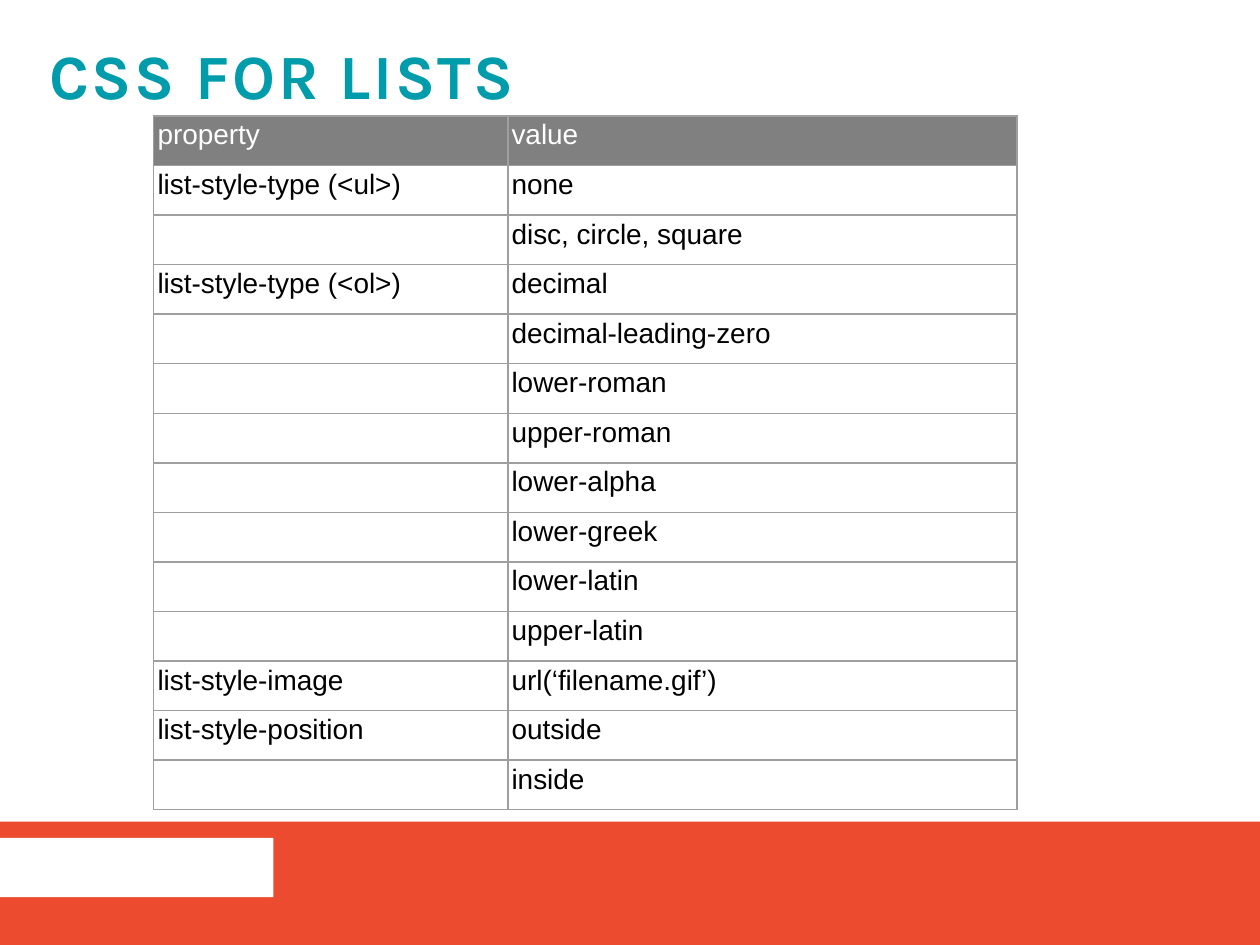
from pptx import Presentation
from pptx.dml.color import RGBColor
from pptx.enum import shapes, text
from pptx.oxml import parse_xml
from pptx.oxml.ns import nsdecls
from pptx.util import Inches, Pt

TITLE = "CSS FOR LISTS"
HEADER = ("property", "value")
PROPERTIES = [
    ("list-style-type (<ul>)", ["none", "disc, circle, square"]),
    ("list-style-type (<ol>)", ["decimal", "decimal-leading-zero", "lower-roman",
                                "upper-roman", "lower-alpha", "lower-greek",
                                "lower-latin", "upper-latin"]),
    ("list-style-image", ["url(‘filename.gif’)"]),
    ("list-style-position", ["outside", "inside"]),
]

TEAL = RGBColor(0x00, 0x9C, 0xAB)
ORANGE = RGBColor(0xEC, 0x4B, 0x2F)
GRAY = RGBColor(0x80, 0x80, 0x80)
BORDER = RGBColor(0x9F, 0x9F, 0x9F)
WHITE = RGBColor(0xFF, 0xFF, 0xFF)
BLACK = RGBColor(0x00, 0x00, 0x00)

COLUMN_WIDTHS = (2.81, 4.04)
ROW_HEIGHT = 5.51 / 14
CELL_MARGIN = 0.03


def add_band(slide, left, top, width, height, color):
    band = slide.shapes.add_shape(shapes.MSO_SHAPE.RECTANGLE, Inches(left),
                                  Inches(top), Inches(width), Inches(height))
    band.shadow.inherit = False
    band.fill.solid()
    band.fill.fore_color.rgb = color
    band.line.fill.background()


def add_run(paragraph, words, font, size, color, bold=False):
    run = paragraph.add_run()
    run.text = words
    run.font.name, run.font.size, run.font.bold = font, Pt(size), bold
    run.font.color.rgb = color
    return run


def add_title(slide):
    title = slide.shapes.add_textbox(0, 0, Inches(10), Inches(1.25))
    frame = title.text_frame
    frame.word_wrap = True
    frame.vertical_anchor = text.MSO_ANCHOR.MIDDLE
    frame.margin_left = frame.margin_right = Inches(0.39)
    frame.margin_top, frame.margin_bottom = Inches(0.2), Inches(0.16)
    frame.paragraphs[0].line_spacing = 0.8
    run = add_run(frame.paragraphs[0], TITLE, "Karla", 36, TEAL, bold=True)
    run.font._element.set("spc", "150")  # letter spacing, 1.5 pt


def style_cell(cell, fill):
    cell.margin_left = cell.margin_right = Inches(CELL_MARGIN)
    cell.margin_top = cell.margin_bottom = Inches(CELL_MARGIN)
    properties = cell._tc.get_or_add_tcPr()
    for side in ("lnL", "lnR", "lnT", "lnB"):
        properties.append(parse_xml(
            f'<a:{side} {nsdecls("a")} w="{Pt(1)}"><a:solidFill>'
            f'<a:srgbClr val="{BORDER}"/></a:solidFill></a:{side}>'))
    cell.fill.solid()
    cell.fill.fore_color.rgb = fill


def add_property_table(slide):
    # A property is named only beside its first value
    rows = [HEADER] + [(name if i == 0 else "", value)
                       for name, values in PROPERTIES
                       for i, value in enumerate(values)]
    table = slide.shapes.add_table(
        len(rows), len(HEADER), Inches(1.22), Inches(0.92),
        Inches(sum(COLUMN_WIDTHS)), Inches(ROW_HEIGHT * len(rows))).table
    for column, width in zip(table.columns, COLUMN_WIDTHS):
        column.width = Inches(width)
    for r, row in enumerate(rows):
        fill, color = (GRAY, WHITE) if r == 0 else (WHITE, BLACK)
        for c, words in enumerate(row):
            cell = table.cell(r, c)
            style_cell(cell, fill)
            if words:
                add_run(cell.text_frame.paragraphs[0], words, "Arial", 16, color)


def main():
    deck = Presentation()
    deck.slide_width, deck.slide_height = Inches(10), Inches(7.5)
    slide = deck.slides.add_slide(deck.slide_layouts[6])

    # Footer band with its white label
    add_band(slide, 0, 6.52, 10, 0.98, ORANGE)
    add_band(slide, 0, 6.65, 2.17, 0.47, WHITE)

    add_title(slide)
    add_property_table(slide)
    deck.save("out.pptx")


if __name__ == "__main__":
    main()
